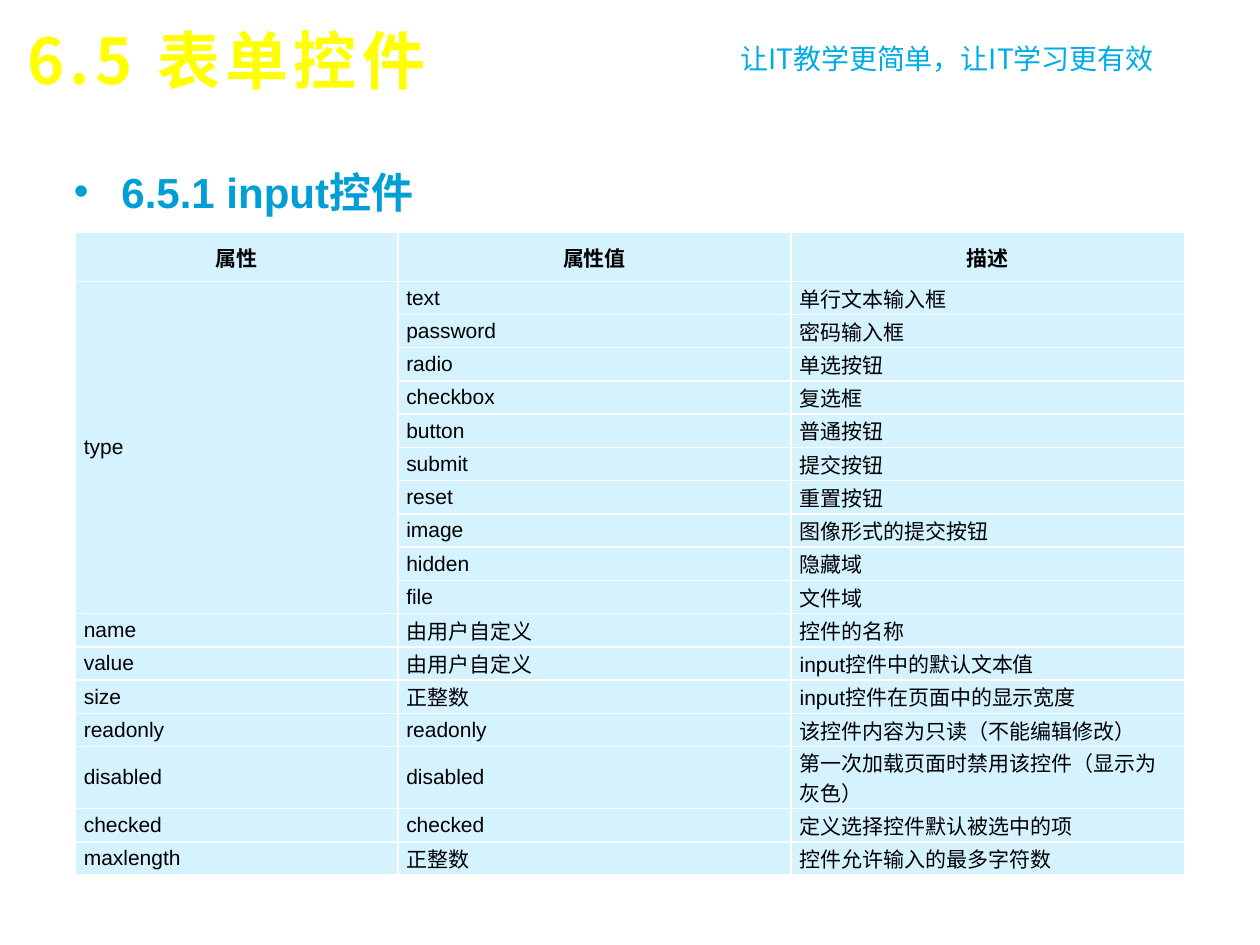
"""Build the slide on form controls: a title, a slogan, a heading and a table of input attributes."""
from lxml.etree import SubElement as Sub
from pptx import Presentation
from pptx.dml.color import RGBColor as RGB
from pptx.enum.text import MSO_ANCHOR as Anchor, PP_ALIGN as Align
from pptx.oxml.ns import qn
from pptx.util import Cm, Pt

HUES = {"title": "FFFF00", "slogan": "00ACE6", "head": "009ED6",
        "text": "000000", "cell": "D5F2FF", "rule": "FFFFFF"}
HAN = "Noto Sans CJK SC"


def write(frame, text, size, hue, font="Arial", bold=False, align=Align.LEFT, gap=0):
    para = frame.paragraphs[0]
    para.alignment = align
    run = para.add_run()
    run.text = text
    run.font.size = Pt(size)
    run.font.bold = bold
    run.font.color.rgb = RGB.from_string(HUES[hue])
    run.font.name = font
    props = run._r.get_or_add_rPr()
    Sub(props, qn("a:ea"), typeface=HAN)
    if gap:
        props.set("spc", str(gap * 100))
    return para


deck = Presentation()
deck.slide_width, deck.slide_height = Cm(25.4), Cm(19.05)
slide = deck.slides.add_slide(deck.slide_layouts[5])
shapes = slide.shapes

title = shapes.title
title.left, title.top, title.width, title.height = Cm(0.3), Cm(0.2), Cm(21.56), Cm(2)
title.text_frame.vertical_anchor = Anchor.MIDDLE
write(title.text_frame, "6.5 表单控件", 36, "title", font=HAN, bold=True, gap=3)

slogan = shapes.add_textbox(Cm(14.68), Cm(0.71), Cm(9.45), Cm(0.94))
write(slogan.text_frame, "让IT教学更简单，让IT学习更有效", 16, "slogan", font=HAN)

body = shapes.add_textbox(Cm(1.24), Cm(2.72), Cm(22.86), Cm(14.05))
body.text_frame.word_wrap = True
head = write(body.text_frame, "6.5.1 input控件", 24, "head", bold=True)
head.line_spacing = 1.5
head.space_before = Pt(5)
props = head._p.get_or_add_pPr()
props.set("marL", str(Cm(0.96)))
props.set("indent", str(-Cm(0.96)))
Sub(props, qn("a:buFont"), typeface="Arial")
Sub(props, qn("a:buChar"), char="•")

rows = [
    ("属性", "属性值", "描述"),
    ("type", "text", "单行文本输入框"),
    ("", "password", "密码输入框"),
    ("", "radio", "单选按钮"),
    ("", "checkbox", "复选框"),
    ("", "button", "普通按钮"),
    ("", "submit", "提交按钮"),
    ("", "reset", "重置按钮"),
    ("", "image", "图像形式的提交按钮"),
    ("", "hidden", "隐藏域"),
    ("", "file", "文件域"),
    ("name", "由用户自定义", "控件的名称"),
    ("value", "由用户自定义", "input控件中的默认文本值"),
    ("size", "正整数", "input控件在页面中的显示宽度"),
    ("readonly", "readonly", "该控件内容为只读（不能编辑修改）"),
    ("disabled", "disabled", "第一次加载页面时禁用该控件（显示为灰色）"),
    ("checked", "checked", "定义选择控件默认被选中的项"),
    ("maxlength", "正整数", "控件允许输入的最多字符数"),
]
tall = {"属性": 0.98, "disabled": 1.25}
highs = [Cm(tall.get(texts[0], 0.67)) for texts in rows]
table = shapes.add_table(len(rows), 3, Cm(1.52), Cm(4.69), Cm(22.36), sum(highs)).table
for col, width in zip(table.columns, (6.5, 7.93, 7.93)):
    col.width = Cm(width)

for r, texts in enumerate(rows):
    table.rows[r].height = highs[r]
    for c, text in enumerate(texts):
        cell = table.cell(r, c)
        cell.vertical_anchor = Anchor.MIDDLE
        cell.margin_left = cell.margin_right = Cm(0.17)
        cell.margin_top = cell.margin_bottom = 0
        for side in "LRTB":
            line = Sub(cell._tc.get_or_add_tcPr(), qn(f"a:ln{side}"), w=str(Pt(1)))
            paint = Sub(line, qn("a:solidFill"))
            Sub(paint, qn("a:srgbClr"), val=HUES["rule"])
        cell.fill.solid()
        cell.fill.fore_color.rgb = RGB.from_string(HUES["cell"])
        if text:
            align = Align.JUSTIFY if texts[1] == "submit" else Align.LEFT
            write(cell.text_frame, text, 12, "text", bold=r == 0,
                  align=align if r else Align.CENTER)
        else:
            cell.text_frame.paragraphs[0].font.size = Pt(12)
table.cell(1, 0).merge(table.cell(10, 0))

deck.save("out.pptx")
